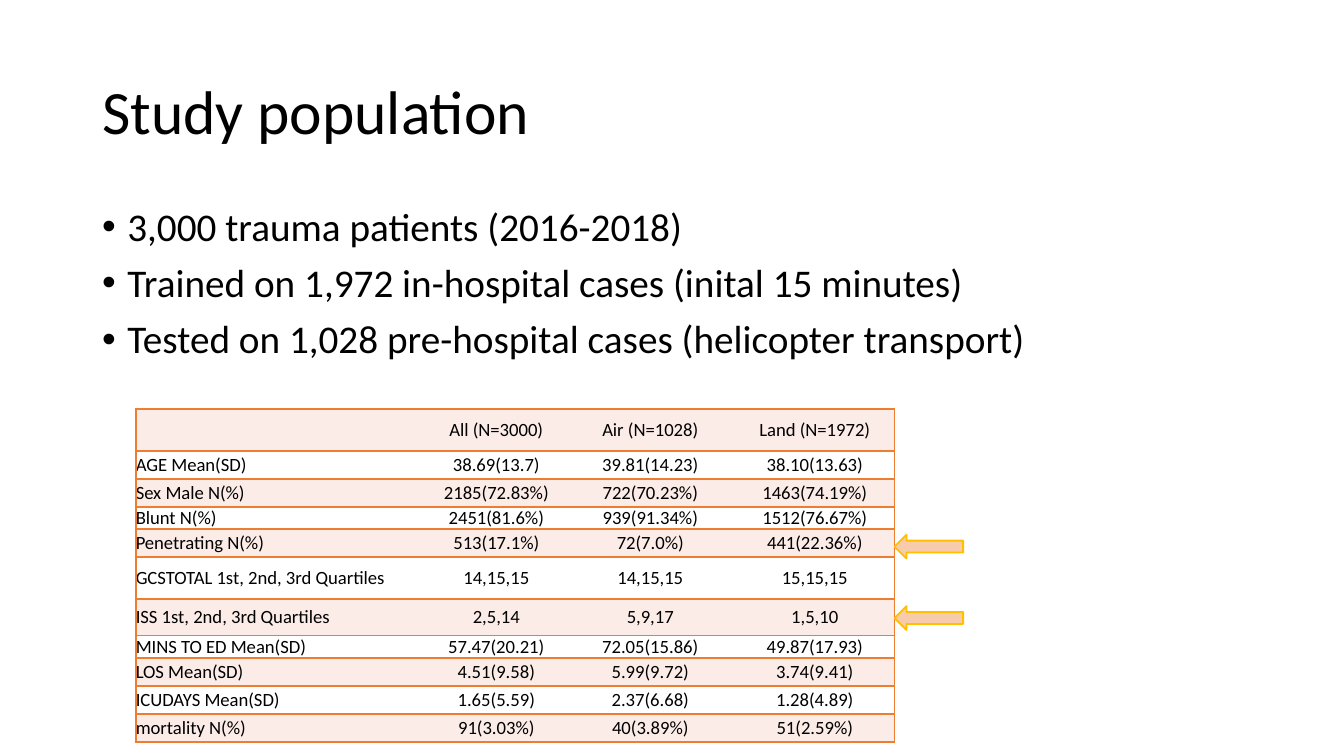
from pptx import Presentation
from pptx.dml.color import RGBColor
from pptx.enum.shapes import MSO_SHAPE
from pptx.enum.text import MSO_ANCHOR as ANCHOR, PP_ALIGN as ALIGN
from pptx.oxml.ns import qn
from pptx.util import Pt
from lxml.etree import SubElement

PX = 9525
FONT = "Calibri"
BLACK = RGBColor(0x00, 0x00, 0x00)
WHITE = RGBColor(0xFF, 0xFF, 0xFF)
BLUSH = RGBColor(0xFC, 0xEC, 0xE8)
ORANGE = RGBColor(0xED, 0x7D, 0x31)
PEACH = RGBColor(0xF8, 0xCB, 0xAD)
GOLD = RGBColor(0xFF, 0xC0, 0x00)

POINTS = [
    "3,000 trauma patients (2016-2018)",
    "Trained on 1,972 in-hospital cases (inital 15 minutes)",
    "Tested on 1,028 pre-hospital cases (helicopter transport)",
]
COLUMN_WIDTHS = [208, 99, 121, 114]
POPULATION = [
    (30, "", "All (N=3000)", "Air (N=1028)", "Land (N=1972)"),
    (20, "AGE Mean(SD)", "38.69(13.7)", "39.81(14.23)", "38.10(13.63)"),
    (20, "Sex Male N(%)", "2185(72.83%)", "722(70.23%)", "1463(74.19%)"),
    (16, "Blunt N(%)", "2451(81.6%)", "939(91.34%)", "1512(76.67%)"),
    (20, "Penetrating N(%)", "513(17.1%)", "72(7.0%)", "441(22.36%)"),
    (30, "GCSTOTAL 1st, 2nd, 3rd Quartiles", "14,15,15", "14,15,15", "15,15,15"),
    (26, "ISS 1st, 2nd, 3rd Quartiles", "2,5,14", "5,9,17", "1,5,10"),
    (16, "MINS TO ED Mean(SD)", "57.47(20.21)", "72.05(15.86)", "49.87(17.93)"),
    (20, "LOS Mean(SD)", "4.51(9.58)", "5.99(9.72)", "3.74(9.41)"),
    (20, "ICUDAYS Mean(SD)", "1.65(5.59)", "2.37(6.68)", "1.28(4.89)"),
    (20, "mortality N(%)", "91(3.03%)", "40(3.89%)", "51(2.59%)"),
]


def px(*lengths):
    return [length * PX for length in lengths]


def write(paragraph, text, size, align=ALIGN.LEFT, spacing=None, before=0):
    paragraph.alignment = align
    paragraph.line_spacing = spacing
    paragraph.space_before = Pt(before)
    run = paragraph.add_run()
    run.text = text
    run.font.name = FONT
    run.font.size = Pt(size)
    run.font.color.rgb = BLACK


def set_margins(holder, across, down):
    holder.margin_left = holder.margin_right = across * PX
    holder.margin_top = holder.margin_bottom = down * PX


def add_title(slide, text):
    title = slide.shapes.title
    title.left, title.top, title.width, title.height = px(66, 29, 828, 105)
    frame = title.text_frame
    frame.word_wrap = True
    frame.vertical_anchor = ANCHOR.MIDDLE
    set_margins(frame, 7, 4)
    write(frame.paragraphs[0], text, 33, spacing=0.9)


def add_bullets(slide, points):
    frame = slide.shapes.add_textbox(*px(66, 144, 828, 343)).text_frame
    frame.word_wrap = True
    set_margins(frame, 7, 4)
    for i, point in enumerate(points):
        paragraph = frame.add_paragraph() if i else frame.paragraphs[0]
        write(paragraph, point, 21, spacing=0.9, before=7.5 if i else 0)
        properties = paragraph._p.get_or_add_pPr()
        properties.set("marL", str(18 * PX))
        properties.set("indent", str(-18 * PX))
        SubElement(properties, qn("a:buFont"), typeface="Arial")
        SubElement(properties, qn("a:buChar"), char="•")


def set_borders(cell, visible):
    properties = cell._tc.get_or_add_tcPr()
    for side in "LRTB":
        border = SubElement(properties, qn(f"a:ln{side}"), w=str(Pt(1)))
        if side in visible:
            fill = SubElement(border, qn("a:solidFill"))
            SubElement(fill, qn("a:srgbClr"), val=str(ORANGE))
        else:
            SubElement(border, qn("a:noFill"))


def add_population_table(slide, left, top):
    heights = [row[0] for row in POPULATION]
    table = slide.shapes.add_table(
        len(POPULATION), len(COLUMN_WIDTHS),
        *px(left, top, sum(COLUMN_WIDTHS), sum(heights))).table
    table.first_row = table.horz_banding = False
    for column, width in zip(table.columns, COLUMN_WIDTHS):
        column.width = width * PX
    last = len(COLUMN_WIDTHS) - 1
    for r, (height, *values) in enumerate(POPULATION):
        table.rows[r].height = height * PX
        for c, value in enumerate(values):
            cell = table.cell(r, c)
            set_margins(cell, 0, 0)
            cell.vertical_anchor = ANCHOR.MIDDLE
            set_borders(cell, "TB" + ("L" if c == 0 else "R" if c == last else ""))
            cell.fill.solid()
            cell.fill.fore_color.rgb = WHITE if r % 2 else BLUSH
            if value:
                write(cell.text_frame.paragraphs[0], value, 10,
                      align=ALIGN.CENTER if c else ALIGN.LEFT)


def add_marker(slide, left, top):
    marker = slide.shapes.add_shape(MSO_SHAPE.LEFT_ARROW, *px(left, top, 49, 17))
    marker.shadow.inherit = False
    marker.fill.solid()
    marker.fill.fore_color.rgb = PEACH
    marker.line.color.rgb = GOLD
    marker.line.width = Pt(1)


def main():
    deck = Presentation()
    deck.slide_width, deck.slide_height = px(960, 540)
    slide = deck.slides.add_slide(deck.slide_layouts[5])
    add_title(slide, "Study population")
    add_bullets(slide, POINTS)
    add_population_table(slide, 97, 292)
    for top in (382, 433):
        add_marker(slide, 639, top)
    deck.save("out.pptx")


if __name__ == "__main__":
    main()
